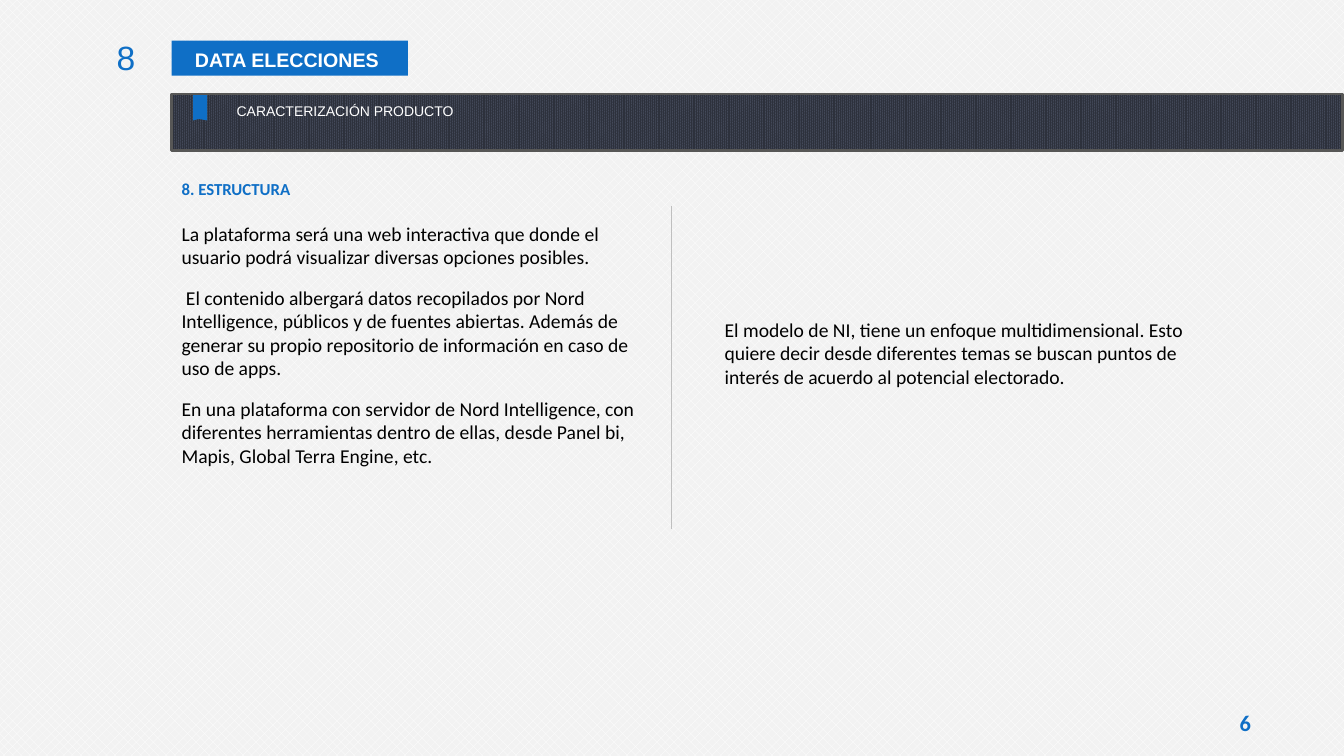
from pptx import Presentation
from pptx.dml.color import RGBColor
from pptx.enum.dml import MSO_PATTERN as Pattern
from pptx.enum.shapes import MSO_CONNECTOR as Connector, MSO_SHAPE as Shape
from pptx.enum.text import MSO_ANCHOR as Anchor, PP_ALIGN as Align
from pptx.oxml.xmlchemy import OxmlElement
from pptx.util import Pt

BLUE = "0F6FC6"
WHITE = "FFFFFF"
BLACK = "000000"


def color(hex_value):
    return RGBColor.from_string(hex_value)


def write(shape, paragraphs, font, paragraph_format, anchor=Anchor.TOP):
    frame = shape.text_frame
    frame.word_wrap = True
    frame.vertical_anchor = anchor
    for index, text in enumerate(paragraphs):
        paragraph = frame.add_paragraph() if index else frame.paragraphs[0]
        for name, value in paragraph_format.items():
            setattr(paragraph, name, value)
        run = paragraph.add_run()
        run.text = text
        for name, value in font.items():
            if name == "color":
                run.font.color.rgb = color(value)
            else:
                setattr(run.font, name, value)


presentation = Presentation()
presentation.slide_width = Pt(960)
presentation.slide_height = Pt(540)
slide = presentation.slides.add_slide(presentation.slide_layouts[6])
shapes = slide.shapes

background = slide.background.fill
background.patterned()
background.pattern = Pattern.from_xml("pct40")
background.fore_color.rgb = color(WHITE)
background.back_color.rgb = color("F2F2F2")

title = shapes.add_shape(Shape.RECTANGLE, Pt(122.6), Pt(29), Pt(168.7), Pt(25))
title.shadow.inherit = False
title.fill.solid()
title.fill.fore_color.rgb = color(BLUE)
title.line.fill.background()
write(
    title,
    ["DATA ELECCIONES "],
    {"name": "Arial", "size": Pt(14), "bold": True, "color": WHITE},
    {"alignment": Align.CENTER, "line_spacing": 1.1},
)

band = shapes.add_shape(Shape.RECTANGLE, Pt(122.6), Pt(67.2), Pt(836.2), Pt(40.2))
band.shadow.inherit = False
band.fill.patterned()
band.fill.pattern = Pattern.from_xml("pct90")
band.fill.fore_color.rgb = color("2D313C")
band.fill.back_color.rgb = color("444A5A")
band.line.color.rgb = color("575756")
band.line.width = Pt(2)

builder = shapes.build_freeform(147.6, 68.4, scale=Pt(1))
builder.add_line_segments(
    [(147.6, 86.4), (141.8, 85), (137.5, 86.4), (137.5, 68.4)], close=True
)
bookmark = builder.convert_to_shape()
bookmark.shadow.inherit = False
bookmark.fill.solid()
bookmark.fill.fore_color.rgb = color(BLUE)
bookmark.line.fill.background()

divider = shapes.add_connector(
    Connector.STRAIGHT, Pt(480), Pt(147), Pt(480), Pt(378)
)
divider.line.color.rgb = color("BFBFBF")
divider.line.width = Pt(0.75)
divider._element.spPr.append(OxmlElement("a:effectLst"))

body_font = {"name": "Calibri", "size": Pt(14), "color": BLACK}
texts = [
    (
        (56.2, 23, 47.5, 36),
        ["8"],
        {"name": "Arial", "size": Pt(24), "color": BLUE},
        {"alignment": Align.RIGHT},
    ),
    (
        (162, 67.2, 597.6, 40.2),
        ["CARACTERIZACIÓN PRODUCTO "],
        {"name": "Arial", "size": Pt(10), "color": WHITE},
        {"alignment": Align.JUSTIFY, "line_spacing": 1.2, "space_before": Pt(2)},
    ),
    (
        (122.6, 123.8, 341.3, 21.6),
        ["8. ESTRUCTURA"],
        {"name": "Calibri", "size": Pt(12), "bold": True, "color": BLUE},
        {},
    ),
    (
        (122.6, 154.8, 350.6, 209.5),
        [
            "La plataforma será una web interactiva que donde el usuario podrá "
            "visualizar diversas opciones posibles.",
            " El contenido albergará datos recopilados por Nord Intelligence, "
            "públicos y de fuentes abiertas. Además de generar su propio "
            "repositorio de información en caso de uso de apps.",
            "En una plataforma con servidor de Nord Intelligence, con diferentes "
            "herramientas dentro de ellas, desde Panel bi, Mapis, "
            "Global Terra Engine, etc.",
        ],
        body_font,
        {"space_before": Pt(6), "space_after": Pt(6)},
    ),
    (
        (510.5, 223.2, 350.6, 98.6),
        [
            "El modelo de NI, tiene un enfoque multidimensional. Esto quiere "
            "decir desde diferentes temas se buscan puntos de interés de acuerdo "
            "al potencial electorado."
        ],
        body_font,
        {},
    ),
]
for box, paragraphs, font, paragraph_format in texts:
    text_box = shapes.add_textbox(*[Pt(length) for length in box])
    write(text_box, paragraphs, font, paragraph_format)

page_number = shapes.add_textbox(Pt(867.6), Pt(504), Pt(43.9), Pt(23.8))
margins = {"margin_left": 3.6, "margin_right": 3.6, "margin_top": 1.4, "margin_bottom": 1.4}
for name, value in margins.items():
    setattr(page_number.text_frame, name, Pt(value))
write(
    page_number,
    ["6"],
    {"name": "Calibri", "size": Pt(16), "bold": True, "color": BLUE},
    {"alignment": Align.CENTER},
    Anchor.MIDDLE,
)

presentation.save("out.pptx")
